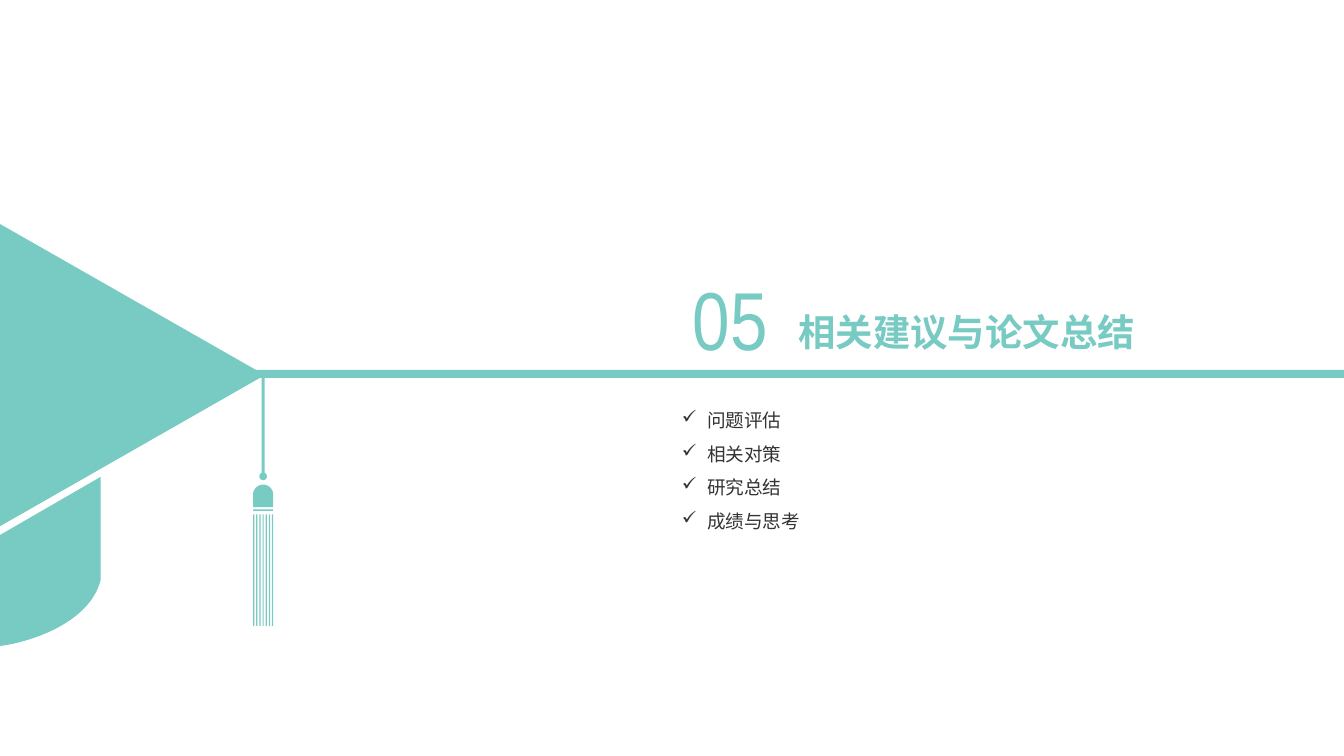
import math
from dataclasses import dataclass

import lxml.etree
import pptx
import pptx.dml.color
import pptx.enum.shapes
import pptx.enum.text
import pptx.oxml.ns
import pptx.util

Point = tuple[float, float]
Contour = list[Point]

COLORS = {"teal": "77CBC3", "text": "333333"}
FONT = "Arial Narrow"
SLIDE_WIDTH, SLIDE_HEIGHT = 960, 540
BAR_TOP, BAR_HEIGHT, BAR_SEGMENTS = 264.24, 5.76, 6
TASSEL_CENTER, TASSEL_HALF_WIDTH = 188, 7.2
STRANDS, STRAND_WIDTH = 7, 0.9
TOPICS = ["问题评估", "相关对策", "研究总结", "成绩与思考"]


@dataclass
class TextStyle:
    size: float
    color: str
    bold: bool = False


@dataclass
class Box:
    left: float
    top: float
    width: float
    height: float

    def lengths(self) -> list[pptx.util.Length]:
        return [pptx.util.Pt(value) for value in (self.left, self.top, self.width, self.height)]


def paint(shape) -> None:
    shape.shadow.inherit = False
    shape.fill.solid()
    shape.fill.fore_color.rgb = pptx.dml.color.RGBColor.from_string(COLORS["teal"])
    shape.line.fill.background()


def add_run(paragraph, text: str, style: TextStyle) -> None:
    run = paragraph.add_run()
    run.text = text
    run.font.name = FONT
    run.font.size = pptx.util.Pt(style.size)
    run.font.bold = style.bold
    run.font.color.rgb = pptx.dml.color.RGBColor.from_string(COLORS[style.color])


def place_text(shape, box: Box, wrap: bool = True):
    shape.left, shape.top, shape.width, shape.height = box.lengths()
    frame = shape.text_frame
    frame.word_wrap = wrap
    frame.auto_size = pptx.enum.text.MSO_AUTO_SIZE.NONE
    frame.vertical_anchor = pptx.enum.text.MSO_ANCHOR.TOP
    return frame


def add_check_bullet(paragraph) -> None:
    properties = paragraph._p.get_or_add_pPr()
    indent = pptx.util.Pt(18)
    properties.set("marL", str(indent))
    properties.set("indent", str(-indent))
    bullet = lxml.etree.SubElement(properties, pptx.oxml.ns.qn("a:buChar"))
    bullet.set("char", "✓")


def arc(center: Point, radius: float, start: float, end: float, steps: int = 24) -> Contour:
    """Points on a circle, with angles in degrees clockwise from the right."""
    angles = [math.radians(start + (end - start) * i / steps) for i in range(steps + 1)]
    return [(center[0] + radius * math.cos(a), center[1] + radius * math.sin(a)) for a in angles]


def bezier(p0: Point, p1: Point, p2: Point, p3: Point, steps: int = 32) -> Contour:
    points = []
    for step in range(steps + 1):
        t = step / steps
        weights = ((1 - t) ** 3, 3 * t * (1 - t) ** 2, 3 * t * t * (1 - t), t ** 3)
        x, y = (sum(w * p[axis] for w, p in zip(weights, (p0, p1, p2, p3))) for axis in (0, 1))
        points.append((x, y))
    return points


def rectangle(left: float, top: float, right: float, bottom: float) -> Contour:
    return [(left, top), (right, top), (right, bottom), (left, bottom)]


def add_outline(slide, contours: list[Contour]) -> None:
    scaled = [[(pptx.util.Pt(x), pptx.util.Pt(y)) for x, y in contour] for contour in contours]
    builder = slide.shapes.build_freeform(*scaled[0][0])
    for index, contour in enumerate(scaled):
        if index:
            builder.move_to(*contour[0])
        builder.add_line_segments(contour[1:], close=True)
    paint(builder.convert_to_shape())


def cap_contours() -> list[Contour]:
    upper = [(0, 160), (188, 267.2), (0, 267.2)]
    lower = [(188, 268.6), (0, 375.9), (0, 268.6)]
    base = [(0, 382.2), (72, 340.6)] + bezier((72, 414), (64, 446.4), (18, 459.4), (0, 461.4))
    return [upper, lower, base]


def tassel_contours() -> list[Contour]:
    left, right = TASSEL_CENTER - TASSEL_HALF_WIDTH, TASSEL_CENTER + TASSEL_HALF_WIDTH
    cord = [(TASSEL_CENTER - 1, 269.3), (TASSEL_CENTER + 1, 269.3)]
    cord += arc((TASSEL_CENTER, 340.3), 2.7, -68, 248)
    dome = arc((TASSEL_CENTER, 353.4), TASSEL_HALF_WIDTH, 180, 360) + [(right, 362.2), (left, 362.2)]
    band = rectangle(left, 363.9, right, 365)
    step = (right - left - STRAND_WIDTH) / (STRANDS - 1)
    strands = [
        rectangle(left + i * step, 367.4, left + i * step + STRAND_WIDTH, 447.1)
        for i in range(STRANDS)
    ]
    return [cord, dome, band, *strands]


def main() -> None:
    presentation = pptx.Presentation()
    presentation.slide_width = pptx.util.Pt(SLIDE_WIDTH)
    presentation.slide_height = pptx.util.Pt(SLIDE_HEIGHT)
    slide = presentation.slides.add_slide(presentation.slide_layouts[5])

    # Section title
    title = place_text(slide.shapes.title, Box(563, 217.4, 287.3, 39.6))
    title.paragraphs[0].alignment = pptx.enum.text.PP_ALIGN.LEFT
    add_run(title.paragraphs[0], "相关建议与论文总结", TextStyle(26.7, "teal", True))

    # Section number
    number_box = Box(480, 187.9, 83, 78.5)
    number = place_text(slide.shapes.add_textbox(*number_box.lengths()), number_box)
    number.paragraphs[0].alignment = pptx.enum.text.PP_ALIGN.CENTER
    add_run(number.paragraphs[0], "05", TextStyle(58.7, "teal"))

    # Topic list
    topics_box = Box(480, 280.8, 100, 104.4)
    topics = place_text(slide.shapes.add_textbox(*topics_box.lengths()), topics_box, wrap=False)
    for index, topic in enumerate(TOPICS):
        paragraph = topics.add_paragraph() if index else topics.paragraphs[0]
        add_check_bullet(paragraph)
        paragraph.line_spacing = 1.5
        add_run(paragraph, topic, TextStyle(13.3, "text"))

    # Bar across the slide
    bar = slide.shapes.add_group_shape()
    segment_width = SLIDE_WIDTH / BAR_SEGMENTS
    for index in range(BAR_SEGMENTS):
        segment = Box(index * segment_width, BAR_TOP, segment_width, BAR_HEIGHT)
        paint(bar.shapes.add_shape(pptx.enum.shapes.MSO_SHAPE.RECTANGLE, *segment.lengths()))

    # Graduation cap and tassel
    for contours in (cap_contours(), tassel_contours()):
        add_outline(slide, contours)

    presentation.save("out.pptx")


if __name__ == "__main__":
    main()
